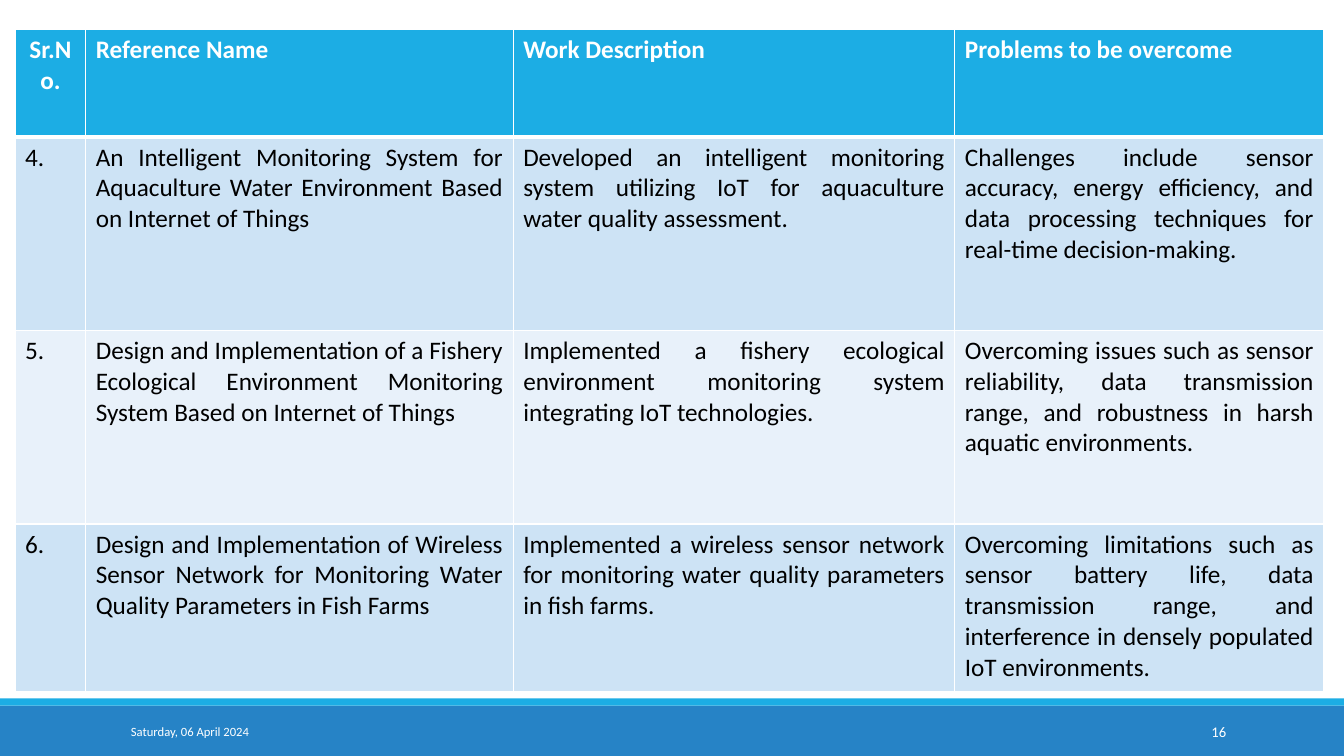
"""Build a literature survey slide with a reference table and a dated footer."""
import pptx
import pptx.dml.color
import pptx.enum.shapes
import pptx.enum.text
import pptx.oxml
import pptx.oxml.ns
import pptx.util
from pptx.util import Inches

COLORS = {
    "header": "1CADE4",
    "footer": "2683C6",
    "band_dark": "CDE3F5",
    "band_light": "E8F1FA",
    "white": "FFFFFF",
    "black": "000000",
}
ALIGN = pptx.enum.text.PP_ALIGN
COL_WIDTHS = [0.7, 4.24, 4.38, 3.66]
ROW_HEIGHTS = [1.07, 1.92, 1.92, 1.66]
ROWS = [
    ["Sr.No.", "Reference Name", "Work Description", "Problems to be overcome"],
    ["4.",
     "An Intelligent Monitoring System for Aquaculture Water Environment Based on Internet of Things",
     "Developed an intelligent monitoring system utilizing IoT for aquaculture water quality assessment.",
     "Challenges include sensor accuracy, energy efficiency, and data processing techniques "
     "for real-time decision-making."],
    ["5.",
     "Design and Implementation of a Fishery Ecological Environment Monitoring System Based on "
     "Internet of Things",
     "Implemented a fishery ecological environment monitoring system integrating IoT technologies.",
     "Overcoming issues such as sensor reliability, data transmission range, and robustness in "
     "harsh aquatic environments."],
    ["6.",
     "Design and Implementation of Wireless Sensor Network for Monitoring Water Quality Parameters "
     "in Fish Farms",
     "Implemented a wireless sensor network for monitoring water quality parameters in fish farms.",
     "Overcoming limitations such as sensor battery life, data transmission range, and "
     "interference in densely populated IoT environments."],
]


class SlideBuilder:
    def __init__(self, slide, font="Calibri"):
        self.slide = slide
        self.font = font

    def color(self, name):
        return pptx.dml.color.RGBColor.from_string(COLORS[name])

    def style(self, p, size, color, align, bold=False):
        p.alignment = align
        p.font.name = self.font
        p.font.size = pptx.util.Pt(size)
        p.font.bold = bold
        p.font.color.rgb = self.color(color)

    def bar(self, left, top, width, height, color):
        sp = self.slide.shapes.add_shape(
            pptx.enum.shapes.MSO_SHAPE.RECTANGLE,
            Inches(left), Inches(top), Inches(width), Inches(height))
        sp.shadow.inherit = False
        sp.fill.solid()
        sp.fill.fore_color.rgb = self.color(color)
        sp.line.fill.background()

    def text(self, left, top, width, height, text, size, align):
        sp = self.slide.shapes.add_textbox(
            Inches(left), Inches(top), Inches(width), Inches(height))
        tf = sp.text_frame
        tf.word_wrap = True
        tf.vertical_anchor = pptx.enum.text.MSO_ANCHOR.MIDDLE
        p = tf.paragraphs[0]
        p.text = text
        self.style(p, size, "white", align)

    def borders(self, cell, widths):
        tc_pr = cell._tc.get_or_add_tcPr()
        for side, width in widths.items():
            tc_pr.append(pptx.oxml.parse_xml(
                f'<a:ln{side} {pptx.oxml.ns.nsdecls("a")} w="{pptx.util.Pt(width)}">'
                f'<a:solidFill><a:srgbClr val="{COLORS["white"]}"/></a:solidFill></a:ln{side}>'))

    def cell(self, cell, text, row, col):
        is_header = row == 0
        self.borders(cell, {"L": 1, "R": 1, "T": 3 if row == 1 else 1, "B": 3 if is_header else 1})
        cell.fill.solid()
        band = "band_dark" if row % 2 else "band_light"
        cell.fill.fore_color.rgb = self.color("header" if is_header else band)
        p = cell.text_frame.paragraphs[0]
        p.text = text
        number_align = ALIGN.CENTER if is_header else ALIGN.LEFT
        self.style(p, 18, "white" if is_header else "black",
                   ALIGN.JUSTIFY if col else number_align, is_header)

    def table(self, left, top, widths, heights, rows):
        table = self.slide.shapes.add_table(
            len(rows), len(widths), Inches(left), Inches(top),
            Inches(sum(widths)), Inches(sum(heights))).table
        for column, width in zip(table.columns, widths):
            column.width = Inches(width)
        for i, (height, texts) in enumerate(zip(heights, rows)):
            table.rows[i].height = Inches(height)
            for j, text in enumerate(texts):
                self.cell(table.cell(i, j), text, i, j)


def main():
    prs = pptx.Presentation()
    prs.slide_width, prs.slide_height = Inches(13.33), Inches(7.5)
    s = SlideBuilder(prs.slides.add_slide(prs.slide_layouts[6]))
    s.bar(0, 7, 13.33, 0.5, "footer")
    s.bar(0, 6.93, 13.33, 0.07, "header")
    s.text(1.2, 7.06, 2.7, 0.4, "Saturday, 06 April 2024", 9, ALIGN.LEFT)
    s.text(10.83, 7.06, 1.43, 0.4, "16", 10.5, ALIGN.RIGHT)
    s.table(0.15, 0.29, COL_WIDTHS, ROW_HEIGHTS, ROWS)
    prs.save("out.pptx")


if __name__ == "__main__":
    main()
